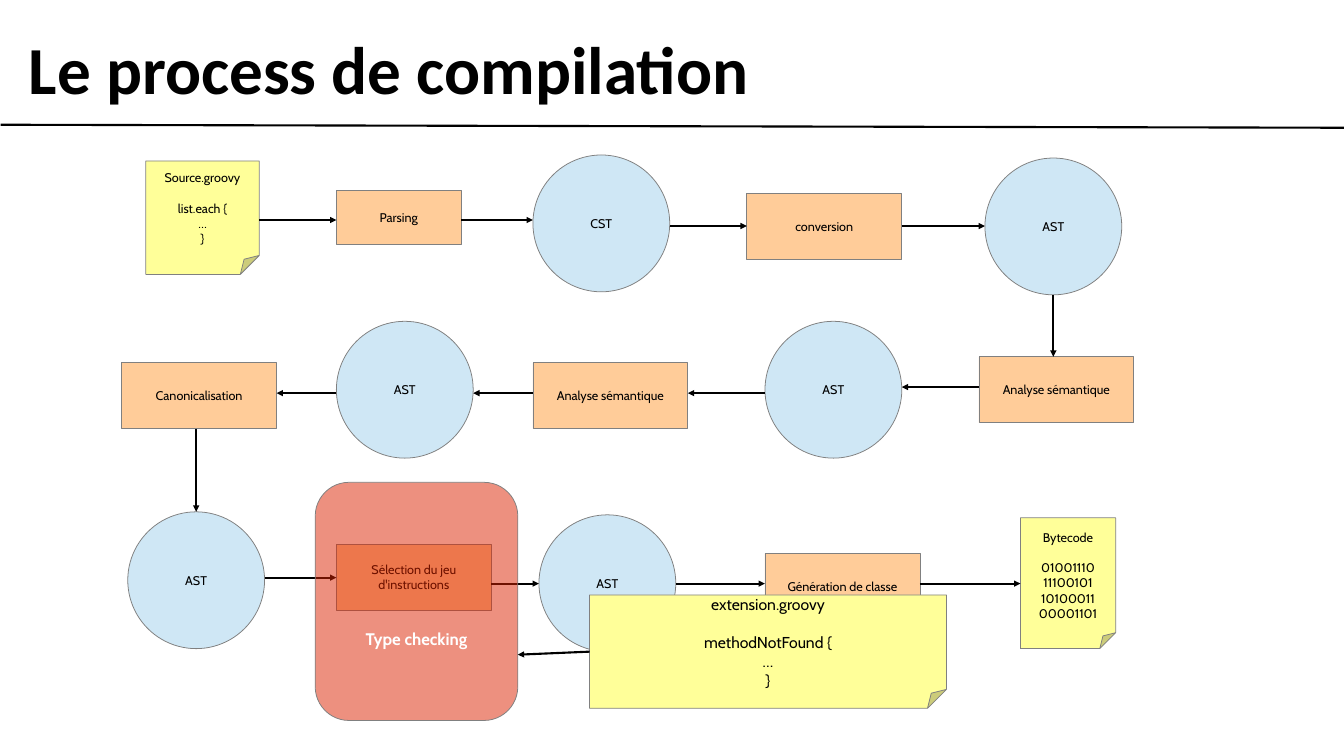
from dataclasses import dataclass
from typing import Optional

from lxml.etree import SubElement
from pptx import Presentation
from pptx.dml.color import RGBColor as RGB
from pptx.enum.shapes import MSO_CONNECTOR as CONN, MSO_SHAPE as SHAPE
from pptx.enum.text import MSO_ANCHOR as ANCHOR, PP_ALIGN as ALIGN
from pptx.oxml.ns import qn
from pptx.util import Inches, Pt


@dataclass(frozen=True)
class Theme:
    note: str = "FFFF99"
    step: str = "FFCC99"
    tree: str = "CFE7F5"
    highlight: str = "DC2300"
    outline: str = "808080"
    ink: str = "000000"
    white: str = "FFFFFF"
    title_font: str = "Calibri"
    body_font: str = "Cabin"
    title_size: int = 64
    body_size: int = 12
    extension_size: int = 15
    highlight_size: int = 16


T = Theme()


@dataclass(frozen=True)
class Node:
    """A box of the diagram; in a note, the first line is its heading."""
    kind: SHAPE
    left: float
    top: float
    width: float
    height: float
    lines: tuple[str, ...]
    fill: str
    size: int = T.body_size
    color: str = T.ink
    bold: bool = False
    inset_top: float = 0.05

    @property
    def right(self) -> float:
        return self.left + self.width

    @property
    def bottom(self) -> float:
        return self.top + self.height


def note(left: float, top: float, width: float, height: float,
         *lines: str, size: int = T.body_size) -> Node:
    return Node(SHAPE.FOLDED_CORNER, left, top, width, height, lines, T.note, size)


def step(left: float, top: float, *lines: str,
         width: float = 2.05, height: float = 0.87) -> Node:
    return Node(SHAPE.RECTANGLE, left, top, width, height, lines, T.step)


def tree(left: float, top: float, label: str = "AST") -> Node:
    return Node(SHAPE.OVAL, left, top, 1.81, 1.81, (label,), T.tree)


# Stages in process order, each with the height of the arrow that leaves it
# (None: the arrow goes straight down to the next row)
STAGES: list[tuple[Node, Optional[float]]] = [
    (note(1.93, 2.13, 1.5, 1.5, "Source.groovy", "list.each {", "…", "}"), 2.91),
    (step(4.45, 2.52, "Parsing", width=1.65, height=0.71), 2.91),
    (tree(7.05, 2.05, "CST"), 2.99),
    (step(9.88, 2.56, "conversion"), 2.99),
    (tree(13.03, 2.09), None),
    (step(12.95, 4.72, "Analyse sémantique"), 5.12),
    (tree(10.12, 4.25), 5.2),
    (step(7.05, 4.8, "Analyse sémantique"), 5.2),
    (tree(4.45, 4.25), 5.2),
    (step(1.61, 4.8, "Canonicalisation"), None),
    (tree(1.69, 6.77), 7.64),
    (step(4.45, 7.2, "Sélection du jeu", "d'instructions"), 7.72),
    (tree(7.13, 6.81), 7.72),
    (step(10.12, 7.32, "Génération de classe"), 7.72),
    (note(13.5, 6.85, 1.26, 1.73, "Bytecode",
          "01001110", "11100101", "10100011", "00001101"), None),
]
TYPE_CHECKING = Node(SHAPE.ROUNDED_RECTANGLE, 4.17, 6.38, 2.68, 3.15,
                     ("Type checking",), T.highlight, T.highlight_size,
                     T.white, bold=True, inset_top=1.05)
EXTENSION = note(7.8, 7.87, 4.72, 1.5, "extension.groovy", "methodNotFound {",
                 "…", "}", size=T.extension_size)


def draw_node(s, node: Node):
    sp = s.shapes.add_shape(node.kind, Inches(node.left), Inches(node.top),
                            Inches(node.width), Inches(node.height))
    sp.shadow.inherit = False
    sp.fill.solid()
    sp.fill.fore_color.rgb = RGB.from_string(node.fill)
    sp.line.color.rgb = RGB.from_string(T.outline)
    sp.line.width = Pt(0)
    tf = sp.text_frame
    tf.word_wrap = False
    tf.vertical_anchor = ANCHOR.MIDDLE
    tf.margin_left = tf.margin_right = Inches(0.1)
    tf.margin_top, tf.margin_bottom = Inches(node.inset_top), Inches(0.05)
    for i, line in enumerate(node.lines):
        p = tf.paragraphs[0] if i == 0 else tf.add_paragraph()
        p.text = line
        p.alignment = ALIGN.CENTER
        p.font.name = T.body_font
        p.font.size = Pt(node.size)
        p.font.bold = node.bold
        p.font.color.rgb = RGB.from_string(node.color)
        # One line of air below the heading of a note
        if i == 1 and node.kind == SHAPE.FOLDED_CORNER:
            p.space_before = Pt(node.size * 1.22)
    return sp


def draw_line(s, x1: float, y1: float, x2: float, y2: float,
              width: float = 0, arrow: bool = True) -> None:
    line = s.shapes.add_connector(CONN.STRAIGHT, Inches(x1), Inches(y1),
                                  Inches(x2), Inches(y2))
    line.line.color.rgb = RGB.from_string(T.ink)
    line.line.width = Pt(width)
    if arrow:
        SubElement(line.line._get_or_add_ln(), qn("a:tailEnd"), type="triangle")
    SubElement(line._element.spPr, qn("a:effectLst"))


def draw_link(s, a: Node, b: Node, y: Optional[float]) -> None:
    if y is None:
        circle = a if a.kind == SHAPE.OVAL else b
        x = circle.left + circle.width / 2
        draw_line(s, x, a.bottom, x, b.top)
    elif a.left < b.left:
        draw_line(s, a.right, y, b.left, y)
    else:
        draw_line(s, a.left, y, b.right, y)


def draw_title(s, text: str) -> None:
    sp = s.shapes.title
    sp.left, sp.top = Inches(0.32), Inches(0.08)
    sp.width, sp.height = Inches(17.13), Inches(1.64)
    tf = sp.text_frame
    tf.word_wrap = True
    tf.vertical_anchor = ANCHOR.MIDDLE
    tf.margin_left = tf.margin_right = Inches(0.06)
    tf.margin_top = tf.margin_bottom = Inches(0.06)
    p = tf.paragraphs[0]
    p.text = text
    p.alignment = ALIGN.LEFT
    p.font.name = T.title_font
    p.font.size = Pt(T.title_size)
    p.font.bold = True
    p.font.color.rgb = RGB.from_string(T.ink)


def main() -> None:
    prs = Presentation()
    prs.slide_width, prs.slide_height = Inches(17.78), Inches(10)
    s = prs.slides.add_slide(prs.slide_layouts[5])

    # Title and rule
    draw_title(s, "Le process de compilation")
    draw_line(s, 0.01, 1.65, 17.78, 1.69, width=2, arrow=False)

    # Compilation stages and the arrows between them
    for node, _ in STAGES:
        draw_node(s, node)
    for (a, y), (b, _) in zip(STAGES, STAGES[1:]):
        draw_link(s, a, b, y)

    # Half-transparent highlight over the instruction selection
    sp = draw_node(s, TYPE_CHECKING)
    color = sp._element.spPr.find(qn("a:solidFill")).find(qn("a:srgbClr"))
    SubElement(color, qn("a:alpha"), val="50000")

    # Type checking extension
    draw_node(s, EXTENSION)
    draw_line(s, EXTENSION.left, 8.62, TYPE_CHECKING.right, 8.66)

    prs.save("out.pptx")


if __name__ == "__main__":
    main()
